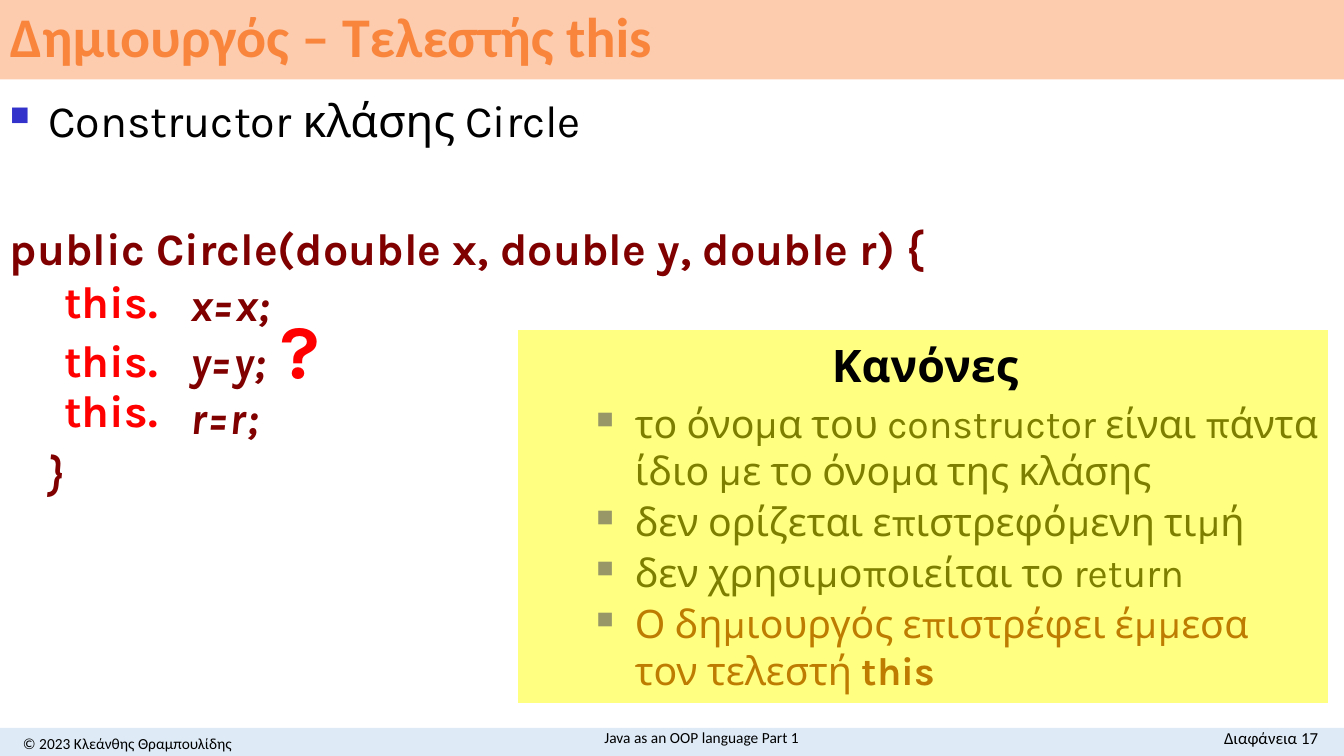
from pptx import Presentation
from pptx.dml.color import RGBColor
from pptx.enum.shapes import MSO_SHAPE
from pptx.enum.text import MSO_ANCHOR, PP_ALIGN
from pptx.oxml.ns import qn
from pptx.util import Cm, Pt
from lxml import etree

RECT = MSO_SHAPE.RECTANGLE
TOP, MIDDLE = MSO_ANCHOR.TOP, MSO_ANCHOR.MIDDLE
LEFT, CENTER, RIGHT = PP_ALIGN.LEFT, PP_ALIGN.CENTER, PP_ALIGN.RIGHT

BLACK, MAROON, RED = "000000", "800000", "FF0000"
HANGING = 0.97  # cm, bullet indent

BODY = {"name": "Karla", "size": Pt(32)}
BODY_BOLD = {**BODY, "bold": True}
CODE = {**BODY_BOLD, "italic": True}
RULE = {"name": "Karla", "size": Pt(28)}
SMALL = {"name": "Calibri", "size": Pt(11)}


def rgb(value):
    return RGBColor.from_string(value)


def add_rect(s, box, fill, alpha=None, line=None):
    sp = s.shapes.add_shape(RECT, *map(Cm, box))
    sp.shadow.inherit = False
    sp.fill.solid()
    sp.fill.fore_color.rgb = rgb(fill)
    if alpha:
        color = sp.fill._xPr.find(qn("a:solidFill"))[0]
        etree.SubElement(color, qn("a:alpha")).set("val", str(alpha * 1000))
    if line:
        sp.line.color.rgb = rgb(line)
        sp.line.width = Pt(1)
    else:
        sp.line.fill.background()
    return sp


def add_textbox(s, box, wrap=True, anchor=TOP):
    tf = s.shapes.add_textbox(*map(Cm, box)).text_frame
    tf.word_wrap = wrap
    tf.vertical_anchor = anchor
    return tf


def add_run(p, text, font, color):
    r = p.add_run()
    r.text = text
    for key, value in font.items():
        setattr(r.font, key, value)
    r.font.color.rgb = rgb(color)


def add_paragraph(tf, text, font, color, **layout):
    p = tf.paragraphs[0]
    if p.runs:
        p = tf.add_paragraph()
    for key, value in layout.items():
        setattr(p, key, value)
    add_run(p, text, font, color)
    return p


def set_indent(p, left, first=0):
    pPr = p._p.get_or_add_pPr()
    pPr.set("marL", str(Cm(left)))
    pPr.set("indent", str(Cm(first)))
    return pPr


def add_bullet(p):
    pPr = set_indent(p, HANGING, -HANGING)
    color = etree.SubElement(pPr, qn("a:buClr"))
    etree.SubElement(color, qn("a:srgbClr")).set("val", "3333CC")
    etree.SubElement(pPr, qn("a:buSzPct")).set("val", "60000")
    etree.SubElement(pPr, qn("a:buChar")).set("char", "■")


def add_label(s, box, text, font, color=BLACK, align=LEFT, wrap=True, anchor=TOP):
    tf = add_textbox(s, box, wrap, anchor)
    add_paragraph(tf, text, font, color, alignment=align)


def add_title(s, text):
    tf = add_rect(s, (0, 0, 33.87, 2), "FDCBAD").text_frame
    tf.word_wrap = True
    tf.vertical_anchor = MIDDLE
    font = {"name": "Calibri", "size": Pt(40), "bold": True}
    add_paragraph(tf, text, font, "F9853D", alignment=LEFT, line_spacing=0.9)


def add_footer(s):
    add_label(s, (0, 18.34, 6.43, 0.76), "© 2023 Κλεάνθης Θραμπουλίδης", SMALL,
              align=CENTER, anchor=MIDDLE)
    add_label(s, (28.24, 18.21, 5.23, 0.76), "Διαφάνεια 17",
              {**SMALL, "size": Pt(12)}, align=RIGHT)
    add_label(s, (9.19, 18.21, 16.99, 0.76), "Java as an OOP language Part 1", SMALL,
              align=CENTER, anchor=MIDDLE)


def add_rules(s):
    tf = add_textbox(s, (14.78, 9.93, 18.69, 3.23))
    rules = (
        "το όνομα του constructor είναι πάντα ίδιο με το όνομα της κλάσης",
        "δεν ορίζεται επιστρεφόμενη τιμή",
        "δεν χρησιμοποιείται το return",
    )
    for i, rule in enumerate(rules):
        p = add_paragraph(tf, rule, RULE, BLACK, space_before=Pt(2.8 if i else 0))
        add_bullet(p)
    p = add_paragraph(tf, "Ο δημιουργός επιστρέφει έμμεσα τον τελεστή ", RULE, MAROON,
                      space_before=Pt(2.8))
    add_bullet(p)
    add_run(p, "this", {**RULE, "bold": True}, MAROON)
    # Translucent panel lies over the rules
    add_rect(s, (13.03, 8.31, 20.45, 9.42), "FFFF00", alpha=49, line="FFFFFF")
    add_label(s, (15.21, 8.38, 16.21, 1.63), "Κανόνες", BODY_BOLD, align=CENTER)


def add_constructor(s):
    tf = add_textbox(s, (0, 2.21, 25.4, 12.32))
    add_bullet(add_paragraph(tf, "Constructor κλάσης Circle", BODY, BLACK))
    add_paragraph(tf, "public Circle(double x, double y, double r) {", BODY_BOLD, MAROON,
                  space_before=Pt(51), line_spacing=1.05)
    for text, left in (("x=x;", 4.55), ("y=y;", 4.55), ("r=r;", 4.55), ("}", HANGING)):
        set_indent(add_paragraph(tf, text, CODE, MAROON, line_spacing=1.05), left)


def main():
    prs = Presentation()
    prs.slide_width, prs.slide_height = Cm(33.87), Cm(19.05)
    s = prs.slides.add_slide(prs.slide_layouts[6])

    # Footer band and title
    add_rect(s, (0, 18.34, 33.87, 0.76), "DEEBF7")
    add_title(s, "Δημιουργός – Τελεστής this")
    add_footer(s)

    # Rules and constructor code
    add_rules(s)
    add_constructor(s)

    # Red additions to the code
    for top in (6.78, 8.26, 9.53):
        add_label(s, (1.37, top, 2.97, 1.6), "this.", BODY_BOLD, RED, wrap=False)
    add_label(s, (6.81, 7.52, 1.6, 2.57), "?", {**BODY_BOLD, "size": Pt(54)}, RED,
              wrap=False)

    prs.save("out.pptx")


if __name__ == "__main__":
    main()
